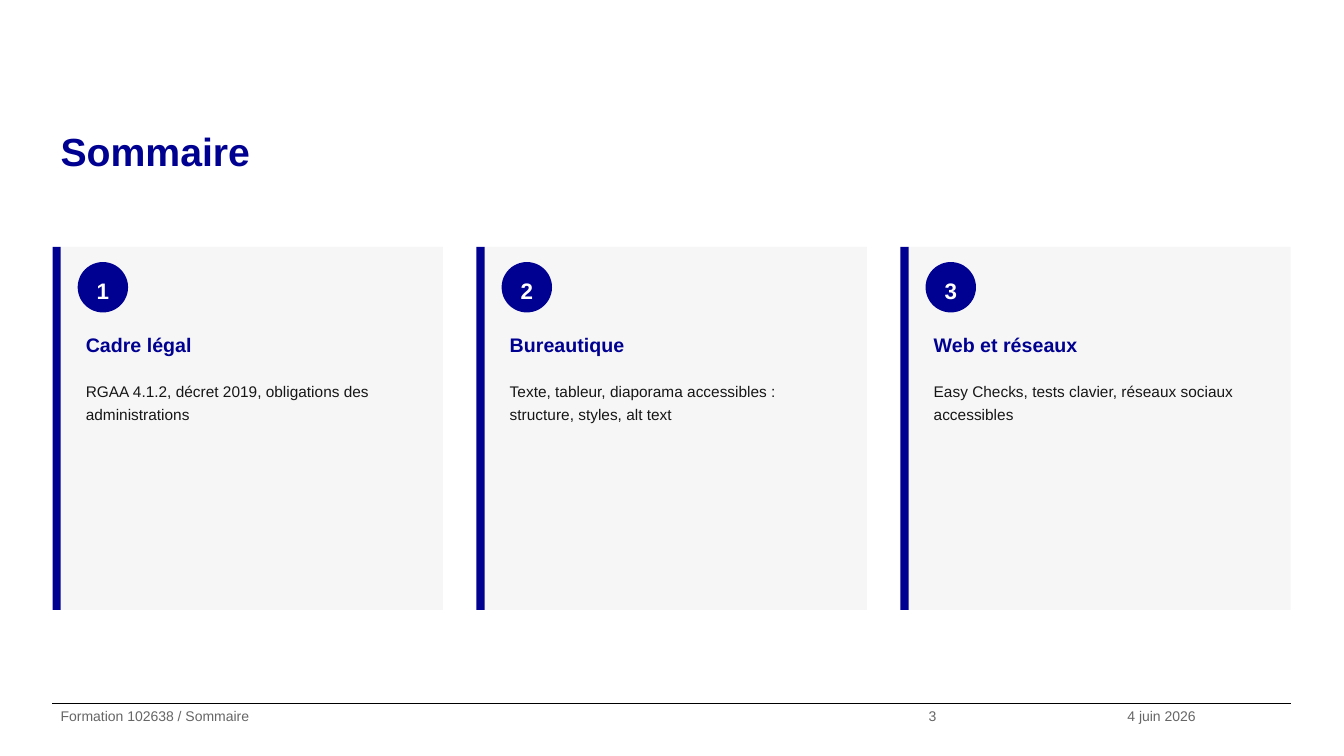
from dataclasses import dataclass

from lxml import etree
from pptx import Presentation
from pptx.dml.color import RGBColor
from pptx.enum.shapes import MSO_CONNECTOR, MSO_SHAPE
from pptx.enum.text import MSO_ANCHOR, MSO_AUTO_SIZE, PP_ALIGN
from pptx.oxml.ns import qn
from pptx.util import Pt

RECTANGLE, OVAL = MSO_SHAPE.RECTANGLE, MSO_SHAPE.OVAL
STRAIGHT = MSO_CONNECTOR.STRAIGHT
TOP, MIDDLE = MSO_ANCHOR.TOP, MSO_ANCHOR.MIDDLE
LEFT, CENTER = PP_ALIGN.LEFT, PP_ALIGN.CENTER
NO_AUTOFIT = MSO_AUTO_SIZE.NONE


@dataclass(frozen=True)
class Theme:
    font: str = "Arial"
    blue: RGBColor = RGBColor(0x00, 0x00, 0x91)
    card: RGBColor = RGBColor(0xF6, 0xF6, 0xF6)
    ink: RGBColor = RGBColor(0x16, 0x16, 0x16)
    muted: RGBColor = RGBColor(0x66, 0x66, 0x66)
    white: RGBColor = RGBColor(0xFF, 0xFF, 0xFF)
    black: RGBColor = RGBColor(0x00, 0x00, 0x00)
    title: int = 28
    number: int = 16
    heading: int = 14
    body: int = 11
    footer: int = 10


THEME = Theme()
MARGIN, CONTENT_WIDTH = 37.5, 884.5
CARD_TOP, CARD_HEIGHT, CARD_GAP, BAR_WIDTH = 176.4, 259.2, 24, 5.8
FOOTER_TOP, FOOTER_HEIGHT = 502.5, 37.5

TOPICS = [
    ("Cadre légal", "RGAA 4.1.2, décret 2019, obligations des administrations"),
    ("Bureautique", "Texte, tableur, diaporama accessibles : structure, styles, alt text"),
    ("Web et réseaux", "Easy Checks, tests clavier, réseaux sociaux accessibles"),
]
FOOTER = [
    (MARGIN, 620, "Formation 102638 / Sommaire"),
    (657.5, 142, "3"),
    (799.5, 122.5, "4 juin 2026"),
]

prs = Presentation()
prs.slide_width, prs.slide_height = Pt(960), Pt(540)
slide = prs.slides.add_slide(prs.slide_layouts[5])


def write(holder, text, size, color, bold=False, align=LEFT, anchor=TOP, inset=3.6):
    frame = holder.text_frame
    frame.word_wrap = True
    frame.auto_size = NO_AUTOFIT
    frame.vertical_anchor = anchor
    frame.margin_left = frame.margin_right = Pt(5.8)
    frame.margin_top = frame.margin_bottom = Pt(inset)
    frame.text = text
    paragraph = frame.paragraphs[0]
    paragraph.alignment = align
    paragraph.line_spacing = 1.25
    paragraph.font.name = THEME.font
    paragraph.font.size = Pt(size)
    paragraph.font.bold = bold
    paragraph.font.color.rgb = color


def add_filled(kind, left, top, width, height, color):
    shape = slide.shapes.add_shape(kind, Pt(left), Pt(top), Pt(width), Pt(height))
    shape.shadow.inherit = False
    shape.fill.solid()
    shape.fill.fore_color.rgb = color
    shape.line.fill.background()
    return shape


title = slide.shapes.title
title.left, title.top = Pt(MARGIN), Pt(82.8)
title.width, title.height = Pt(CONTENT_WIDTH), Pt(75.6)
write(title, "Sommaire", THEME.title, THEME.blue, bold=True, inset=0)

card_width = (CONTENT_WIDTH - CARD_GAP * (len(TOPICS) - 1)) / len(TOPICS)
for index, (heading, summary) in enumerate(TOPICS):
    left = MARGIN + index * (card_width + CARD_GAP)
    inner_left = left + 18
    inner_width = card_width - 29
    add_filled(RECTANGLE, left + BAR_WIDTH, CARD_TOP,
               card_width - BAR_WIDTH, CARD_HEIGHT, THEME.card)
    add_filled(RECTANGLE, left, CARD_TOP, BAR_WIDTH, CARD_HEIGHT, THEME.blue)

    number = add_filled(OVAL, inner_left, CARD_TOP + 10.8, 36, 36, THEME.blue)
    write(number, str(index + 1), THEME.number, THEME.white,
          bold=True, align=CENTER, anchor=MIDDLE)

    heading_box = slide.shapes.add_textbox(
        Pt(inner_left), Pt(CARD_TOP + 54), Pt(inner_width), Pt(32.4))
    write(heading_box, heading, THEME.heading, THEME.blue, bold=True)

    summary_box = slide.shapes.add_textbox(
        Pt(inner_left), Pt(CARD_TOP + 90), Pt(inner_width), Pt(158.4))
    write(summary_box, summary, THEME.body, THEME.ink)

rule = slide.shapes.add_connector(
    STRAIGHT, Pt(MARGIN), Pt(FOOTER_TOP), Pt(MARGIN + CONTENT_WIDTH), Pt(FOOTER_TOP))
rule.line.color.rgb = THEME.black
rule.line.width = Pt(0.8)
etree.SubElement(rule._element.spPr, qn("a:effectLst"))

for left, width, text in FOOTER:
    footer_box = slide.shapes.add_textbox(
        Pt(left), Pt(FOOTER_TOP), Pt(width), Pt(FOOTER_HEIGHT))
    write(footer_box, text, THEME.footer, THEME.muted, inset=0)

prs.save("out.pptx")
